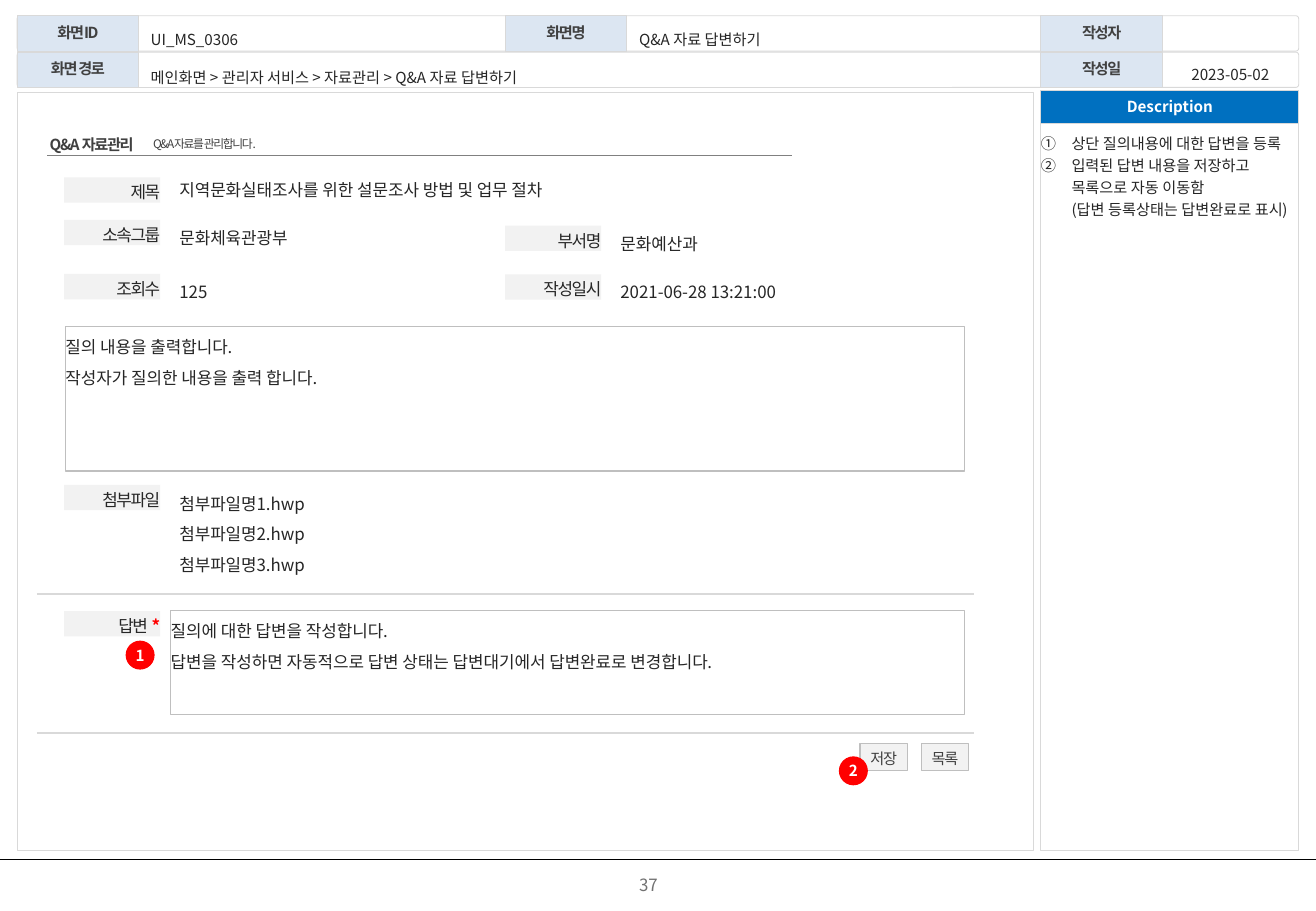
"""Build the Q&A answer screen specification slide."""
from lxml import etree
from pptx import Presentation
from pptx.dml.color import RGBColor
from pptx.enum.shapes import MSO_CONNECTOR, MSO_SHAPE
from pptx.enum.text import MSO_ANCHOR, PP_ALIGN
from pptx.oxml.ns import qn
from pptx.util import Cm, Pt

RECT, ROUND, OVAL = MSO_SHAPE.RECTANGLE, MSO_SHAPE.ROUNDED_RECTANGLE, MSO_SHAPE.OVAL
STRAIGHT = MSO_CONNECTOR.STRAIGHT
LEFT, MID, RIGHT, JUST = PP_ALIGN.LEFT, PP_ALIGN.CENTER, PP_ALIGN.RIGHT, PP_ALIGN.JUSTIFY
TOP, CENTER = MSO_ANCHOR.TOP, MSO_ANCHOR.MIDDLE

FACE = "Noto Sans CJK KR"
BLACK = RGBColor(0x00, 0x00, 0x00)
INK = RGBColor(0x26, 0x26, 0x26)
DARK = RGBColor(0x40, 0x40, 0x40)
PAGE = RGBColor(0x71, 0x71, 0x71)
RULE = RGBColor(0x80, 0x80, 0x80)
EDGE = RGBColor(0xBF, 0xBF, 0xBF)
PALE = RGBColor(0xD9, 0xD9, 0xD9)
LIGHT = RGBColor(0xF2, 0xF2, 0xF2)
SKY = RGBColor(0xDC, 0xE6, 0xF2)
BLUE = RGBColor(0x00, 0x70, 0xC0)
RED = RGBColor(0xFF, 0x00, 0x00)
WHITE = RGBColor(0xFF, 0xFF, 0xFF)

WIDTH, HEIGHT = 27.51, 19.05
EDGE_X, DESC_X, DESC_W = 0.36, 21.76, 5.39
ROWS = [0.33, 1.09]
ROW_H, HEAD_W = 0.74, 2.54
COLS = [EDGE_X, 10.56, DESC_X]
HEADS = [["화면ID", "화면명", "작성자"], ["화면 경로", None, "작성일"]]
INFO = [
    ("UI_MS_0306", 2.95, 0.33, 7.59, 0.79, JUST, 0.2),
    ("Q&A 자료 답변하기", 13.16, 0.33, 8.61, 0.79, JUST, 0.2),
    ("메인화면 > 관리자 서비스 > 자료관리 > Q&A 자료 답변하기",
     2.95, 1.12, 18.8, 0.79, JUST, 0.2),
    ("2023-05-02", 24.35, 1.12, 2.74, 0.69, MID, 0),
]
FIELD_X = [1.34, 10.56]
TAG_W, TAG_H, GAP, VALUE_W = 2.01, 0.53, 2.41, 6.4
FIELDS = [
    ("제목", 0, 3.71, "지역문화실태조사를 위한 설문조사 방법 및 업무 절차", 3.68, 13.7, 0.38),
    ("소속그룹", 0, 4.6, "문화체육관광부", 4.59, VALUE_W, 0.56),
    ("부서명", 1, 4.72, "문화예산과", 4.72, VALUE_W, 0.56),
    ("조회수", 0, 5.73, "125", 5.71, VALUE_W, 0.56),
    ("작성일시", 1, 5.74, "2021-06-28 13:21:00", 5.72, VALUE_W, 0.56),
    ("첨부파일", 0, 10.14, None, 0, 0, 0),
    ("답변", 0, 12.78, None, 0, 0, 0),
]
FILES = ["첨부파일명1.hwp", "첨부파일명2.hwp", "첨부파일명3.hwp"]
AREAS = [
    (["질의 내용을 출력합니다.", "작성자가 질의한 내용을 출력 합니다."],
     1.37, 6.83, 18.8, 3.02),
    (["질의에 대한 답변을 작성합니다.",
      "답변을 작성하면 자동적으로 답변 상태는 답변대기에서 답변완료로 변경합니다."],
     3.57, 12.77, 16.6, 2.18),
]
BUTTONS = [("저장", 17.98), ("목록", 19.26)]
BADGES = [("1", 2.64, 13.41), ("2", 17.55, 15.83)]
TITLES = [("Q&A 자료관리", 1.04, 2.1, 9, True), ("Q&A자료를 관리합니다.", 3.2, 6.78, 7, False)]
LINES = [
    (0, WIDTH, 17.98, BLACK, 0.5),
    (0.99, 16.55, 3.25, RULE, 0.5),
    (0.77, 20.37, 12.42, PALE, 1),
    (0.77, 20.37, 15.33, PALE, 1),
]
NOTES = ["상단 질의내용에 대한 답변을 등록",
         "입력된 답변 내용을 저장하고 목록으로 자동 이동함\n(답변 등록상태는 답변완료로 표시)"]


def number(para):
    """Give a paragraph a circled number with a hanging indent."""
    props = para._p.get_or_add_pPr()
    props.set("marL", str(Cm(0.64)))
    props.set("indent", str(Cm(-0.64)))
    font = etree.SubElement(props, qn("a:buFont"))
    font.set("typeface", FACE)
    etree.SubElement(props, qn("a:buAutoNum")).set("type", "circleNumDbPlain")


def write(shape, lines, size=10, color=INK, align=LEFT, space=1.5, anchor=CENTER,
          bold=False, tight=False, wrap=False, inset=0, listed=False):
    """Fill a shape with evenly styled paragraphs."""
    frame = shape.text_frame
    frame.word_wrap = wrap
    frame.vertical_anchor = anchor
    frame.margin_left = Cm(inset)
    frame.margin_top = frame.margin_right = frame.margin_bottom = 0
    for i, line in enumerate(lines):
        para = frame.add_paragraph() if i else frame.paragraphs[0]
        para.text = line
        para.alignment = align
        para.line_spacing = space
        if listed:
            number(para)
        font = para.font
        font.name, font.size, font.bold = FACE, Pt(size), bold
        font.color.rgb = color
        props = font._element
        etree.SubElement(props, qn("a:ea")).set("typeface", FACE)
        if tight:
            props.set("spc", "-80")
    return shape


def main():
    """Draw the slide and save it."""
    deck = Presentation()
    deck.slide_width, deck.slide_height = Cm(WIDTH), Cm(HEIGHT)
    shapes = deck.slides.add_slide(deck.slide_layouts[6]).shapes

    def block(x, y, w, h, fill=None, line=PALE, width=0.5, kind=RECT, curve=0):
        shape = shapes.add_shape(kind, Cm(x), Cm(y), Cm(w), Cm(h))
        shape.shadow.inherit = False
        if kind == ROUND:
            shape.adjustments[0] = curve
        if fill is None:
            shape.fill.background()
        else:
            shape.fill.solid()
            shape.fill.fore_color.rgb = fill
        if line is None:
            shape.line.fill.background()
        else:
            shape.line.color.rgb = line
            shape.line.width = Pt(width)
        return shape

    def label(x, y, w, h, lines, **style):
        return write(shapes.add_textbox(Cm(x), Cm(y), Cm(w), Cm(h)), lines, **style)

    for y, heads in zip(ROWS, HEADS):
        block(EDGE_X, y, DESC_X + DESC_W - EDGE_X, ROW_H, kind=ROUND, curve=0.08)
        for x, head in zip(COLS, heads):
            if head:
                write(block(x, y, HEAD_W, ROW_H, SKY, kind=ROUND), [head], size=9,
                      color=DARK, align=MID, space=0.9, bold=True, tight=True, wrap=True)
    for text, x, y, w, h, align, inset in INFO:
        label(x, y, w, h, [text], size=9, align=align, wrap=True, inset=inset)

    block(EDGE_X, 1.93, 21.24, 15.85)
    block(DESC_X, 2.59, DESC_W, 15.2)
    write(block(DESC_X, 1.89, DESC_W, 0.69, BLUE), ["Description"], size=9,
          color=WHITE, align=MID, space=1.0, bold=True)
    label(DESC_X, 2.73, 5.41, 12.34, NOTES, size=9, space=1.2, anchor=TOP,
          wrap=True, listed=True)

    for start, end, y, color, width in LINES:
        line = shapes.add_connector(STRAIGHT, Cm(start), Cm(y), Cm(end), Cm(y))
        line.line.color.rgb = color
        line.line.width = Pt(width)
        etree.SubElement(line._element.spPr, qn("a:effectLst"))

    for text, x, w, size, bold in TITLES:
        label(x, 2.72, w, 0.52, [text], size=size, color=DARK, space=1.2,
              bold=bold, tight=True)
    for name, col, y, value, top, w, h in FIELDS:
        x = FIELD_X[col]
        tag = write(block(x, y, TAG_W, TAG_H, LIGHT, None), [name], align=RIGHT,
                    space=1.2, tight=True)
        if value:
            label(x + GAP, top, w, h, [value])
    star = tag.text_frame.paragraphs[0].add_run()
    star.text = " *"
    star.font.bold = True
    star.font.color.rgb = RED
    star.font._element.set("spc", "0")
    label(FIELD_X[0] + GAP, 10.11, VALUE_W, 2.06, FILES, anchor=TOP)

    for lines, x, y, w, h in AREAS:
        write(block(x, y, w, h, line=EDGE, width=0.75), lines, anchor=TOP)
    for text, x in BUTTONS:
        write(block(x, 15.55, 0.99, 0.56, LIGHT, EDGE, 0.75), [text], size=9,
              color=DARK, align=MID, space=1.2, tight=True)
    for text, x, y in BADGES:
        write(block(x, y, 0.58, 0.58, RED, RED, 0.75, OVAL), [text], size=9,
              color=WHITE, align=MID, space=1.0, bold=True)
    label(10.34, 18.1, 6.43, 0.79, ["37"], color=PAGE, align=MID, space=1.0)
    deck.save("out.pptx")


if __name__ == "__main__":
    main()
